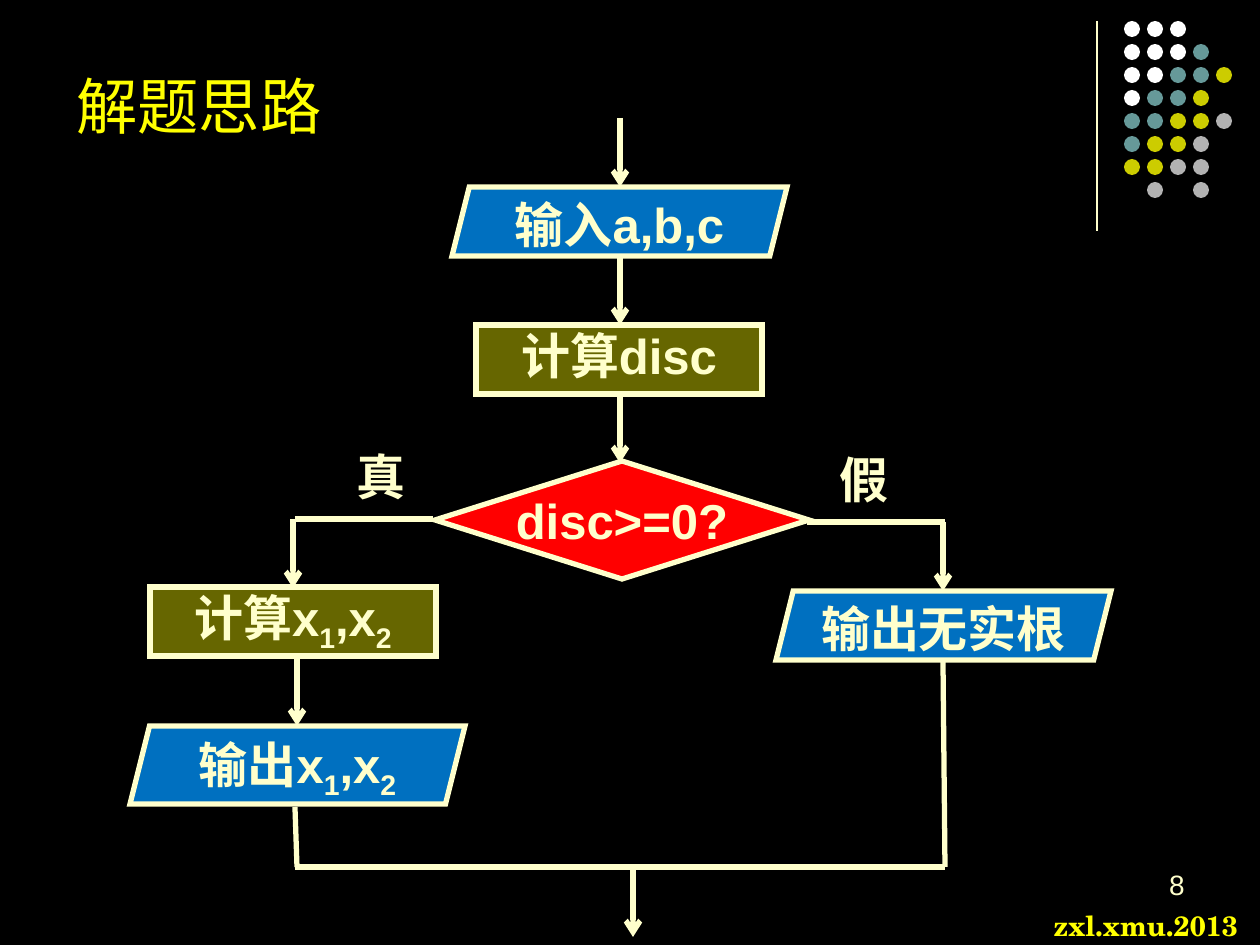
from lxml import etree
from pptx import Presentation
from pptx import util as u
from pptx.dml.color import RGBColor
from pptx.enum import shapes, text
from pptx.oxml.ns import qn

PX = 914400 / 126  # EMU per px

BLACK = RGBColor(0x00, 0x00, 0x00)
WHITE = RGBColor(0xFF, 0xFF, 0xFF)
CREAM = RGBColor(0xFF, 0xFF, 0xCC)
YELLOW = RGBColor(0xFF, 0xFF, 0x00)
BLUE = RGBColor(0x00, 0x70, 0xC0)
OLIVE = RGBColor(0x66, 0x66, 0x00)
RED = RGBColor(0xFF, 0x00, 0x00)
TEAL = RGBColor(0x66, 0x99, 0x99)
MUSTARD = RGBColor(0xCC, 0xCC, 0x00)
GREY = RGBColor(0xB2, 0xB2, 0xB2)

KIND = shapes.MSO_SHAPE
ALIGN = text.PP_ALIGN
GROW = text.MSO_AUTO_SIZE.SHAPE_TO_FIT_TEXT
FIXED = text.MSO_AUTO_SIZE.NONE
TOP, BOTTOM = text.MSO_ANCHOR.TOP, text.MSO_ANCHOR.BOTTOM
LABEL = {"name": "Arial", "size": u.Pt(28), "bold": True}
NO_MARGIN = {f"margin_{side}": 0 for side in ("left", "top", "right", "bottom")}


def emu(*lengths):
    return [u.Emu(round(n * PX)) for n in lengths]


class FlowSlide:
    """Adds styled elements to the current slide; lengths in px."""

    def __init__(self, slide, line_color=CREAM, line_width=3):
        self.slide = slide
        self.line_color = line_color
        self.line_width = line_width

    def style_line(self, line, width):
        line.color.rgb = self.line_color
        line.width = u.Pt(width)

    def set_text(self, sp, content, font, color=CREAM, align=ALIGN.CENTER, **frame):
        """Fill in content; the pieces after each '_' start with one subscript digit."""
        tf = sp.text_frame
        for key, value in frame.items():
            setattr(tf, key, value)
        p = tf.paragraphs[0]
        p.alignment = align
        first, *rest = content.split("_")
        pieces = [(first, False)]
        for part in rest:
            pieces += [(part[0], True), (part[1:], False)]
        for piece, subscript in pieces:
            if not piece:
                continue
            r = p.add_run()
            r.text = piece
            for key, value in font.items():
                setattr(r.font, key, value)
            r.font.color.rgb = color
            if subscript:
                r._r.get_or_add_rPr().set("baseline", "-25000")

    def text_box(self, box, content, font, **options):
        sp = self.slide.shapes.add_textbox(*emu(*box))
        self.set_text(sp, content, font, **{"word_wrap": True, "auto_size": FIXED, **options})

    def dot(self, x, y, size, color):
        sp = self.slide.shapes.add_shape(KIND.OVAL, *emu(x, y, size, size))
        sp.shadow.inherit = False
        sp.fill.solid()
        sp.fill.fore_color.rgb = color
        sp.line.fill.background()

    def node(self, kind, box, fill, content):
        sp = self.slide.shapes.add_shape(kind, *emu(*box))
        sp.shadow.inherit = False
        sp.fill.solid()
        sp.fill.fore_color.rgb = fill
        self.style_line(sp.line, self.line_width)
        etree.SubElement(sp.line._get_or_add_ln(), qn("a:miter"), lim="800000")
        self.set_text(sp, content, LABEL, word_wrap=False, vertical_anchor=TOP, **NO_MARGIN)

    def connect(self, x1, y1, x2, y2, arrow=False, width=None):
        c = self.slide.shapes.add_connector(
            shapes.MSO_CONNECTOR.STRAIGHT, *emu(x1, y1, x2, y2))
        self.style_line(c.line, width or self.line_width)
        if arrow:
            etree.SubElement(c.line._get_or_add_ln(), qn("a:tailEnd"), type="arrow")
        etree.SubElement(c._element.spPr, qn("a:effectLst"))


def main():
    prs = Presentation()
    prs.slide_width, prs.slide_height = u.Inches(10), u.Inches(7.5)
    s = prs.slides.add_slide(prs.slide_layouts[6])
    s.background.fill.solid()
    s.background.fill.fore_color.rgb = BLACK
    flow = FlowSlide(s)

    # Corner ornament
    flow.connect(1097, 21, 1097, 231, width=0.75)
    colors = {"W": WHITE, "T": TEAL, "M": MUSTARD, "G": GREY}
    dots = ["WWW", "WWWT", "WWTTM", "WTTM", "TTMMG", "TMMG", "MMGG", ".G.G"]
    for row, codes in enumerate(dots):
        for col, code in enumerate(codes):
            if code in colors:
                flow.dot(1124 + 23 * col, 21 + 23 * row, 16, colors[code])

    # Title, page number and footer
    flow.text_box((64, 35, 1040, 113), "解题思路", {"name": "Arial", "size": u.Pt(35)},
                  color=YELLOW, align=ALIGN.LEFT, vertical_anchor=BOTTOM)
    flow.text_box((903, 861, 294, 63), "8", {"name": "Arial", "size": u.Pt(16)},
                  align=ALIGN.RIGHT)
    flow.text_box((1041, 902, 219, 47), "zxl.xmu.2013",
                  {"name": "TeX Gyre Schola", "size": u.Pt(16), "bold": True},
                  color=YELLOW, align=ALIGN.LEFT, word_wrap=False, auto_size=GROW)

    # Flowchart steps
    flow.node(KIND.PARALLELOGRAM, (452, 187, 335, 69), BLUE, "输入a,b,c")
    flow.node(KIND.FLOWCHART_PROCESS, (476, 325, 286, 69), OLIVE, "计算disc")
    flow.node(KIND.FLOWCHART_DECISION, (435, 461, 374, 118), RED, "disc>=0?")
    flow.node(KIND.FLOWCHART_PROCESS, (150, 587, 286, 69), OLIVE, "计算x_1,x_2")
    flow.node(KIND.PARALLELOGRAM, (776, 591, 335, 69), BLUE, "输出无实根")
    flow.node(KIND.PARALLELOGRAM, (130, 726, 335, 78), BLUE, "输出x_1,x_2")

    # Downward arrows, all of one length
    for x, y in [(620, 118), (620, 256), (620, 394), (293, 519),
                 (943, 522), (297, 657), (633, 868)]:
        flow.connect(x, y, x, y + 69, arrow=True)

    # Branch and merge lines
    for ends in [(295, 519, 433, 519), (807, 522, 945, 522), (295, 867, 945, 867),
                 (945, 867, 943, 659), (297, 867, 295, 807)]:
        flow.connect(*ends)

    # Branch labels
    for x, y, label in [(344, 440, "真"), (827, 443, "假")]:
        flow.text_box((x, y, 69, 72), label, LABEL, auto_size=GROW)

    prs.save("out.pptx")


if __name__ == "__main__":
    main()
